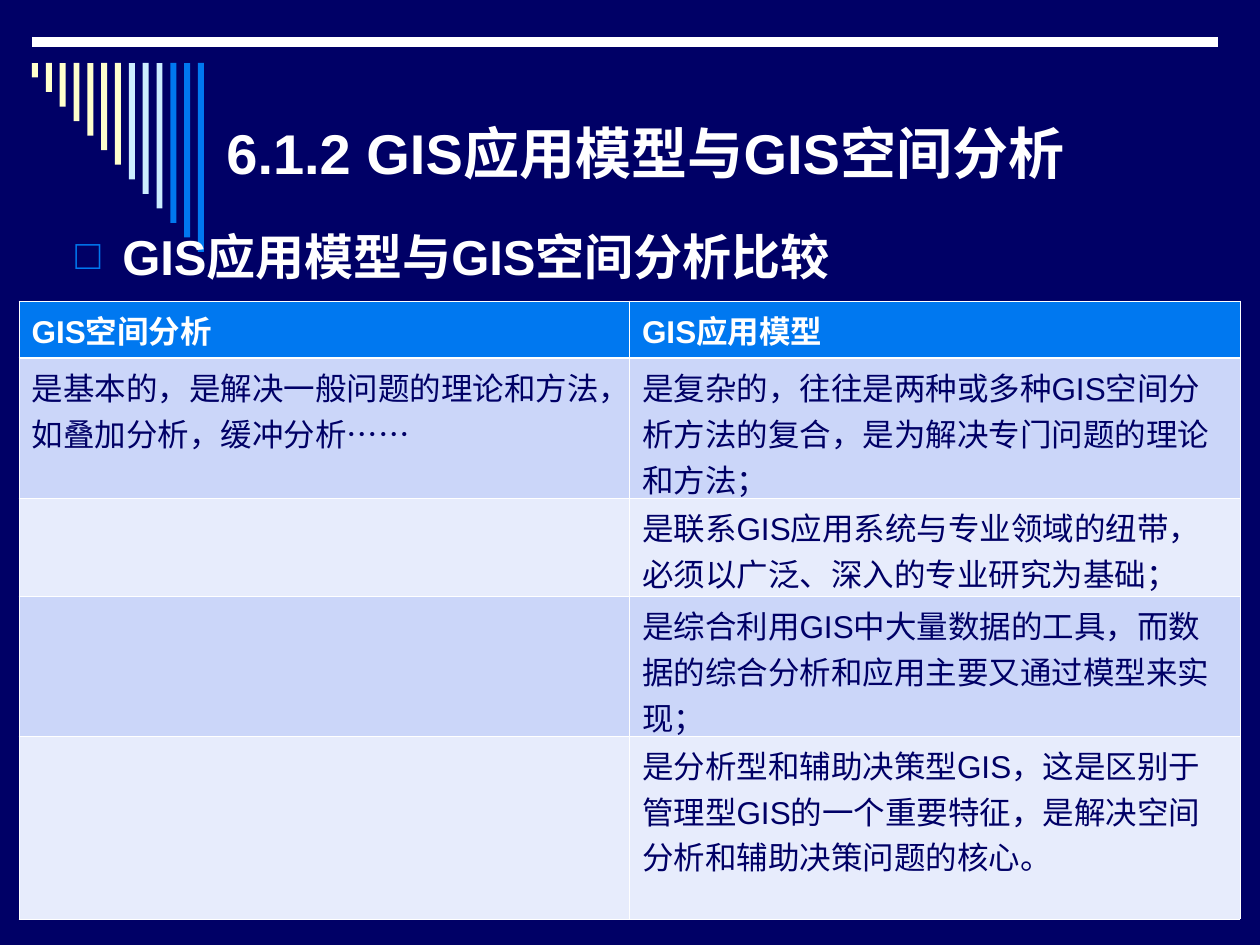
from lxml import etree
from pptx import Presentation
from pptx import util as u
from pptx.dml.color import RGBColor
from pptx.enum import shapes, text
from pptx.oxml.ns import qn

SCALE = 914400 / 126
WHITE, NAVY, BLUE = "FFFFFF", "000066", "0078F0"
CREAM, ICE = "FFFFCC", "CCECFF"
BANDS = ["CBD6F9", "E7ECFC"]

BAR_COLORS = [CREAM] * 7 + [ICE] * 3 + [BLUE] * 3
ROW_HEIGHTS = [57, 140, 98, 140, 183]
ROWS = [
    ("GIS空间分析", "GIS应用模型"),
    ("是基本的，是解决一般问题的理论和方法，如叠加分析，缓冲分析……",
     "是复杂的，往往是两种或多种GIS空间分析方法的复合，是为解决专门问题的理论和方法；"),
    ("", "是联系GIS应用系统与专业领域的纽带，必须以广泛、深入的专业研究为基础；"),
    ("", "是综合利用GIS中大量数据的工具，而数据的综合分析和应用主要又通过模型来实现；"),
    ("", "是分析型和辅助决策型GIS，这是区别于管理型GIS的一个重要特征，"
         "是解决空间分析和辅助决策问题的核心。"),
]


def px(n):
    return u.Emu(round(n * SCALE))


def rgb(color):
    return RGBColor.from_string(color)


def style(p, size, color, bold):
    for r in p.runs:
        r.font.name = "Arial"
        r.font.size = u.Pt(size)
        r.font.bold = bold
        r.font.color.rgb = rgb(color)


def add_rule(s, x, y, w):
    line = s.shapes.add_connector(shapes.MSO_CONNECTOR.STRAIGHT,
                                  px(x), px(y), px(x + w), px(y))
    line.line.color.rgb = rgb(WHITE)
    line.line.width = u.Pt(6)
    etree.SubElement(line._element.spPr, qn("a:effectLst"))


def add_bars(s, x, y, w, h, bar_w=6):
    """Evenly spaced bars hanging from y, each longer than the one before."""
    n = len(BAR_COLORS)
    for i, color in enumerate(BAR_COLORS):
        sp = s.shapes.add_shape(shapes.MSO_SHAPE.RECTANGLE,
                                px(x + i * (w - bar_w) / (n - 1)), px(y),
                                px(bar_w), px(h * (i + 1) / n))
        sp.shadow.inherit = False
        sp.fill.solid()
        sp.fill.fore_color.rgb = rgb(color)
        sp.line.fill.background()


def add_heading(s, x, y, w, h, words, size, anchor):
    tf = s.shapes.add_textbox(px(x), px(y), px(w), px(h)).text_frame
    tf.word_wrap = True
    tf.vertical_anchor = anchor
    p = tf.paragraphs[0]
    p.text = words
    style(p, size, WHITE, True)
    return p


def add_bullet(p, char, color, percent, indent):
    pPr = p._p.get_or_add_pPr()
    pPr.set("marL", str(px(indent)))
    pPr.set("indent", str(-px(indent)))
    bu_clr = etree.SubElement(pPr, qn("a:buClr"))
    etree.SubElement(bu_clr, qn("a:srgbClr"), val=color)
    etree.SubElement(pPr, qn("a:buSzPct"), val=str(percent * 1000))
    etree.SubElement(pPr, qn("a:buFont"), typeface="Arial")
    etree.SubElement(pPr, qn("a:buChar"), char=char)


def add_border(cell, side, width):
    ln = etree.SubElement(cell._tc.get_or_add_tcPr(), qn(f"a:ln{side}"),
                          w=str(u.Pt(width)))
    fill = etree.SubElement(ln, qn("a:solidFill"))
    etree.SubElement(fill, qn("a:srgbClr"), val=WHITE)


def add_comparison(s, x, y, w):
    table = s.shapes.add_table(len(ROWS), 2, px(x), px(y), px(w),
                               px(sum(ROW_HEIGHTS))).table
    for col in table.columns:
        col.width = px(w / 2)
    for i, (row, height) in enumerate(zip(ROWS, ROW_HEIGHTS)):
        table.rows[i].height = px(height)
        header = i == 0
        for j, words in enumerate(row):
            cell = table.cell(i, j)
            cell.text = words
            style(cell.text_frame.paragraphs[0], 18,
                  WHITE if header else NAVY, header)
            for side in "LRTB":
                thick = (i, side) in [(0, "B"), (1, "T")]
                add_border(cell, side, 1.47 if thick else 0.45)
            cell.fill.solid()
            cell.fill.fore_color.rgb = rgb(BLUE if header else BANDS[(i - 1) % 2])


def main():
    prs = Presentation()
    prs.slide_width, prs.slide_height = px(1260), px(945)
    s = prs.slides.add_slide(prs.slide_layouts[6])
    s.background.fill.solid()
    s.background.fill.fore_color.rgb = rgb(NAVY)

    add_rule(s, 32, 42, 1186)
    add_bars(s, 32, 63, 172, 189)
    add_heading(s, 214, 63, 1000, 179, "6.1.2 GIS应用模型与GIS空间分析",
                32, text.MSO_ANCHOR.MIDDLE)
    p = add_heading(s, 63, 220, 1134, 103, "GIS应用模型与GIS空间分析比较",
                    28, text.MSO_ANCHOR.TOP)
    add_bullet(p, "□", BLUE, 85, 47)
    add_comparison(s, 19, 301, 1221)
    prs.save("out.pptx")


if __name__ == "__main__":
    main()
